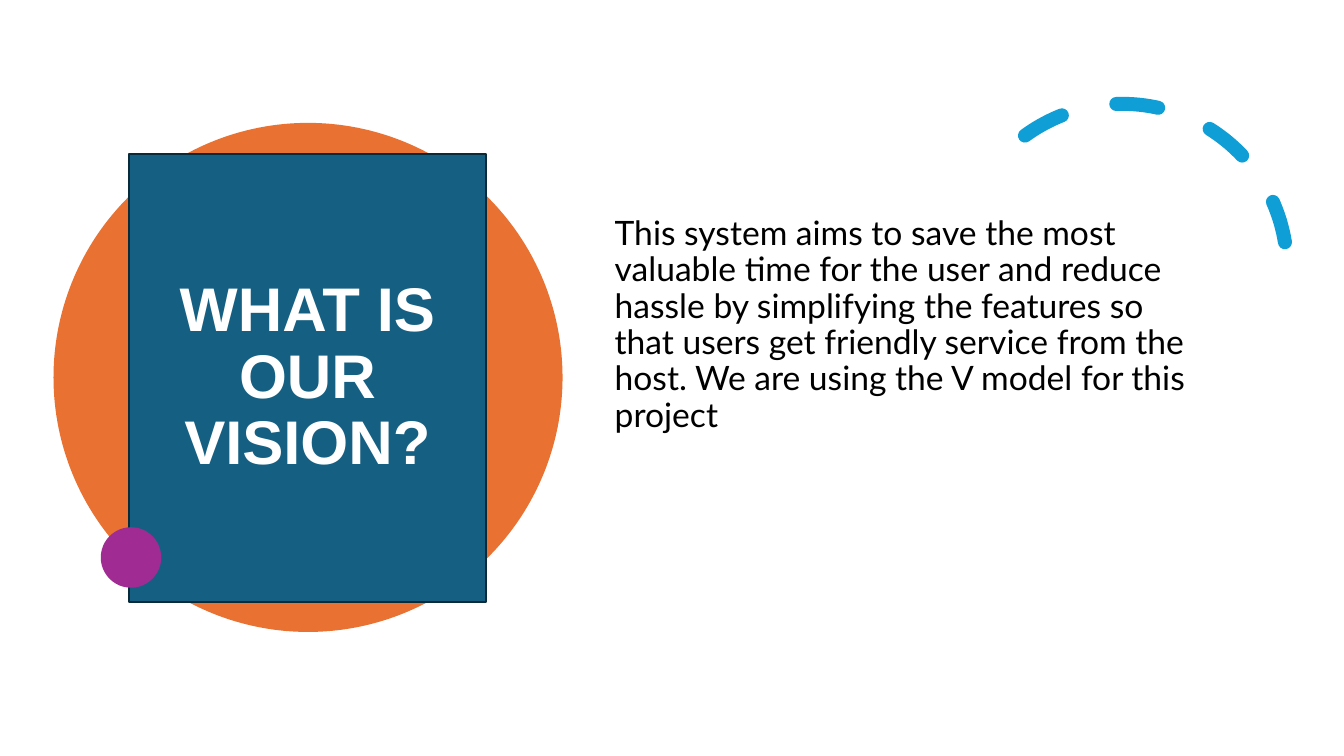
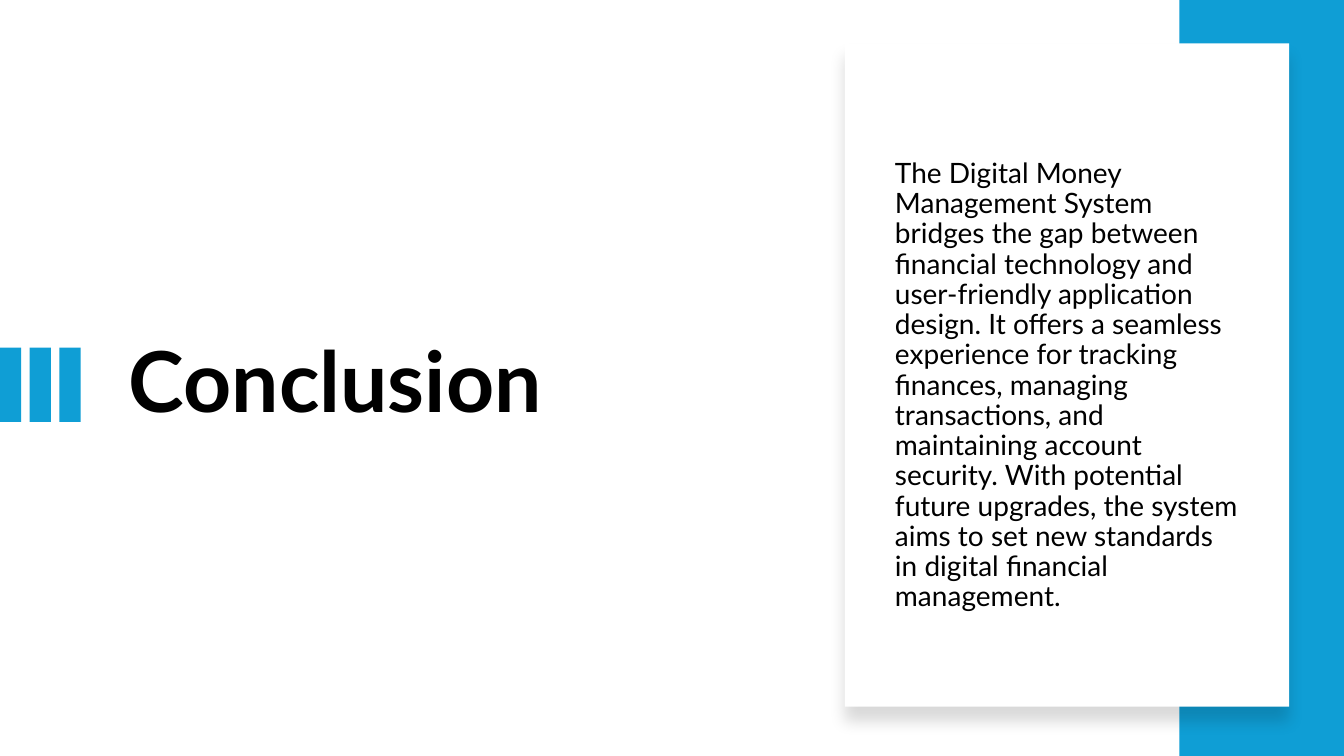
from lxml import etree
from pptx import Presentation
from pptx.dml.color import RGBColor
from pptx.enum import dml, shapes, text
from pptx.oxml import ns
from pptx.util import Pt

HUES = {
    "blue": "0F9ED5", "teal": "156082", "navy": "092A39", "orange": "E97132",
    "plum": "A02B93", "white": "FFFFFF", "black": "000000",
}
KIND = shapes.MSO_SHAPE
MID = text.MSO_ANCHOR.MIDDLE


def draw(slide, kind, spot, hue):
    form = slide.shapes.add_shape(kind, *[Pt(n) for n in spot])
    form.shadow.inherit = False
    form.line.fill.background()
    if hue:
        form.fill.solid()
        form.fill.fore_color.rgb = RGBColor.from_string(HUES[hue])
    else:
        form.fill.background()
    return form


def write(form, words, size, font="Lato", hue="black", bold=False,
          anchor=MID, align=text.PP_ALIGN.LEFT, before=0, after=0):
    frame = form.text_frame
    frame.word_wrap = True
    frame.vertical_anchor = anchor
    para = frame.paragraphs[0]
    para.alignment = align
    para.line_spacing = 0.9
    para.space_before = Pt(before)
    para.space_after = Pt(after)
    run = para.add_run()
    run.text = words
    run.font.size = Pt(size)
    run.font.name = font
    run.font.bold = bold
    run.font.color.rgb = RGBColor.from_string(HUES[hue])


deck = Presentation()
deck.slide_width = Pt(960)
deck.slide_height = Pt(540)
blank = deck.slide_layouts[6]

vision = deck.slides.add_slide(blank)
draw(vision, KIND.OVAL, (38.2, 87.8, 363.6, 363.6), "orange")

title = draw(vision, KIND.RECTANGLE, (92.2, 110, 255, 320.2), "teal")
title.line.color.rgb = RGBColor.from_string(HUES["navy"])
title.line.width = Pt(1.5)
write(title, "WHAT IS OUR VISION?", 44, "Arial", "white", True,
      align=text.PP_ALIGN.CENTER)

arc = draw(vision, KIND.ARC, (684, 74.2, 235.4, 235.4), None)
arc.rotation = 330.2
arc.adjustments[0] = 158.17
arc.adjustments[1] = 17.81
arc.line.color.rgb = RGBColor.from_string(HUES["blue"])
arc.line.width = Pt(10)
arc.line.dash_style = dml.MSO_LINE.DASH
arc.line._get_or_add_ln().set("cap", "rnd")

draw(vision, KIND.OVAL, (72, 376.6, 43.2, 43.2), "plum")

aim = vision.shapes.add_textbox(Pt(432), Pt(151.2), Pt(435.6), Pt(184.3))
write(aim, "This system aims to save the most valuable time for the user and "
      "reduce hassle by simplifying the features so that users get friendly "
      "service from the host. We are using the V model for this project",
      24, anchor=text.MSO_ANCHOR.TOP)

close = deck.slides.add_slide(blank)
head = close.shapes.add_textbox(Pt(85), Pt(90), Pt(475.2), Pt(370.8))
write(head, "Conclusion", 60, bold=True, after=6)

for step in range(3):
    draw(close, KIND.RECTANGLE, (step * 21.2, 248.4, 15.2, 53), "blue")

draw(close, KIND.RECTANGLE, (842.4, 0, 117.6, 540), "blue")

card = draw(close, KIND.RECTANGLE, (603.4, 31, 317.5, 473.8), "white")
glow = card.element.spPr.find(ns.qn("a:effectLst"))
shade = etree.SubElement(glow, ns.qn("a:outerShdw"), blurRad=str(Pt(11)),
                         dist=str(Pt(10)), dir="5400000", algn="t",
                         rotWithShape="0")
tint = etree.SubElement(shade, ns.qn("a:srgbClr"), val=HUES["black"])
etree.SubElement(tint, ns.qn("a:alpha"), val="15000")

body = close.shapes.add_textbox(Pt(632.2), Pt(101.5), Pt(260), Pt(348.5))
write(body, "The Digital Money Management System bridges the gap between "
      "financial technology and user-friendly application design. It offers "
      "a seamless experience for tracking finances, managing transactions, "
      "and maintaining account security. With potential future upgrades, the "
      "system aims to set new standards in digital financial management.",
      20, before=10)

deck.save("out.pptx")
